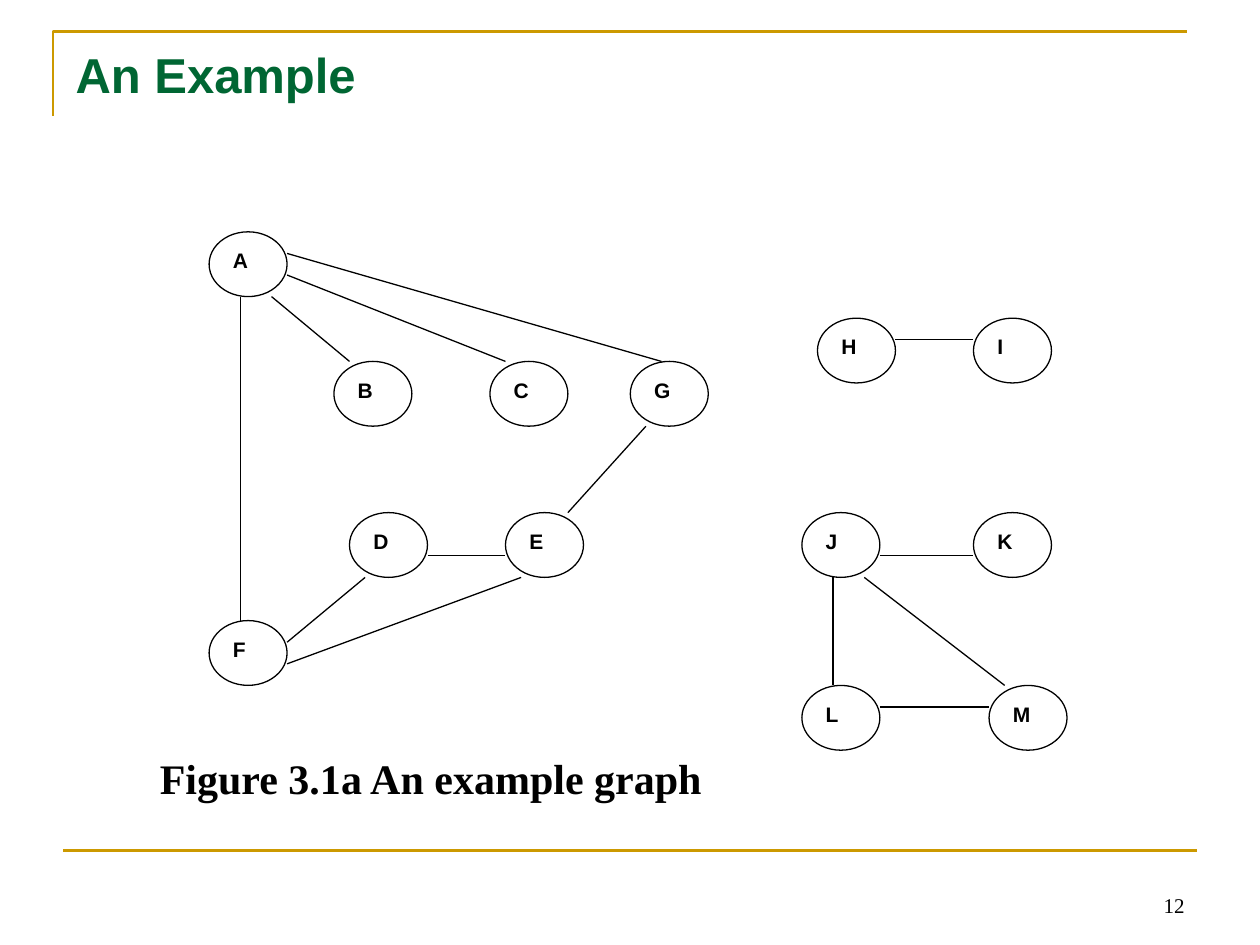
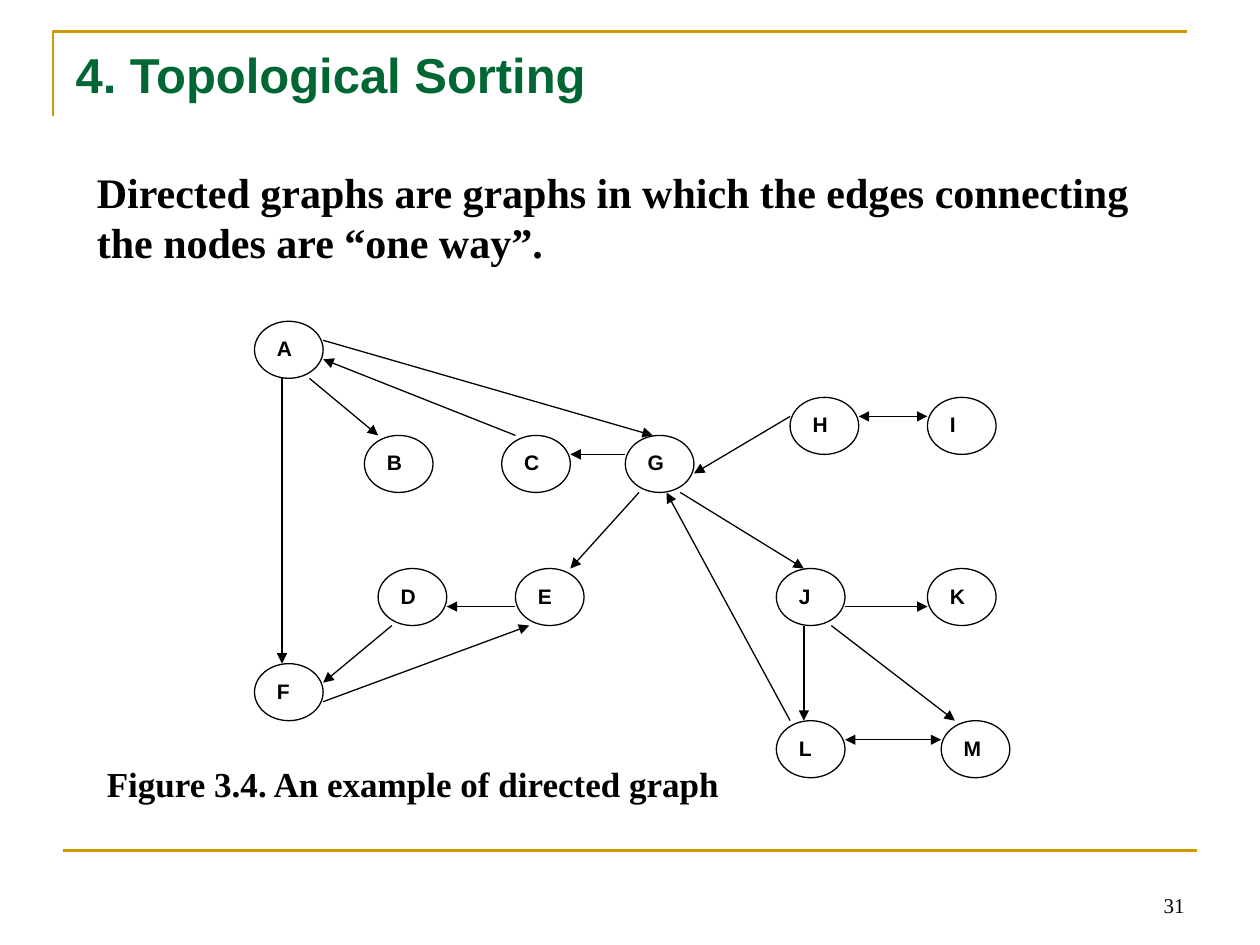
"""Build two slides that show one graph, first plain and then directed."""
from dataclasses import dataclass
from typing import NamedTuple

from lxml import etree
from pptx import Presentation
from pptx.dml.color import RGBColor
from pptx.enum.shapes import MSO_CONNECTOR, MSO_SHAPE
from pptx.enum.text import MSO_ANCHOR, MSO_AUTO_SIZE, PP_ALIGN
from pptx.oxml.ns import qn
from pptx.util import Inches, Pt

OVAL = MSO_SHAPE.OVAL
STRAIGHT = MSO_CONNECTOR.STRAIGHT
TOP, BOTTOM = MSO_ANCHOR.TOP, MSO_ANCHOR.BOTTOM
LEFT, RIGHT = PP_ALIGN.LEFT, PP_ALIGN.RIGHT
NO_FIT = MSO_AUTO_SIZE.NONE
TITLE_ONLY = 5


@dataclass(frozen=True)
class Style:
    font: str
    size: float
    color: RGBColor
    bold: bool = True


@dataclass(frozen=True)
class Theme:
    ink: RGBColor = RGBColor(0, 0, 0)
    paper: RGBColor = RGBColor(255, 255, 255)
    gold: RGBColor = RGBColor(0xCC, 0x99, 0x00)
    green: RGBColor = RGBColor(0x00, 0x66, 0x33)
    sans: str = "Arial"
    serif: str = "Times New Roman"
    thin: float = 0.75
    thick: float = 1.5

    @property
    def title(self) -> Style:
        return Style(self.sans, 28, self.green)

    @property
    def node(self) -> Style:
        return Style(self.sans, 12, self.ink)

    @property
    def page(self) -> Style:
        return Style(self.serif, 12, self.ink, False)

    def prose(self, size: float) -> Style:
        return Style(self.serif, size, self.ink)


class Spot(NamedTuple):
    x: float
    y: float


class Box(NamedTuple):
    left: float
    top: float
    width: float
    height: float


class Edge(NamedTuple):
    """Join two nodes at grid offsets; ends marks arrows as <, > or both."""
    start: str
    leave: Spot
    end: str
    enter: Spot
    ends: str


class Grid(NamedTuple):
    left: float
    top: float
    step_x: float
    step_y: float

    def place(self, node: Spot, shift: Spot = Spot(0, 0)) -> Spot:
        return Spot(self.left + (node.x + shift.x) * self.step_x,
                    self.top + (node.y + shift.y) * self.step_y)


class Prose(NamedTuple):
    text: str
    box: Box
    size: float


class Page(NamedTuple):
    title: str
    number: str
    height: float
    grid: Grid
    edges: list[Edge]
    arrows: bool
    prose: list[Prose]


THEME = Theme()
NODE_WIDE, NODE_HIGH = 5, 3
NODES = {
    "A": Spot(0, 0), "B": Spot(8, 6), "G": Spot(27, 6), "C": Spot(18, 6),
    "F": Spot(0, 18), "D": Spot(9, 13), "E": Spot(19, 13),
    "L": Spot(38, 21), "M": Spot(50, 21), "K": Spot(49, 13),
    "J": Spot(38, 13), "I": Spot(49, 4), "H": Spot(39, 4),
}
EDGES = [
    Edge("A", Spot(2, 3), "F", Spot(2, 0), ">"),
    Edge("A", Spot(4, 3), "B", Spot(1, 0), ">"),
    Edge("A", Spot(5, 2), "C", Spot(1, 0), "<"),
    Edge("A", Spot(5, 1), "G", Spot(2, 0), ">"),
    Edge("F", Spot(5, 1), "D", Spot(1, 3), "<"),
    Edge("D", Spot(5, 2), "E", Spot(0, 2), "<"),
    Edge("F", Spot(5, 2), "E", Spot(1, 3), ">"),
    Edge("E", Spot(4, 0), "G", Spot(1, 3), "<"),
    Edge("H", Spot(5, 1), "I", Spot(0, 1), "<>"),
    Edge("J", Spot(5, 2), "K", Spot(0, 2), ">"),
    Edge("J", Spot(2, 3), "L", Spot(2, 0), ">"),
    Edge("L", Spot(5, 1), "M", Spot(0, 1), "<>"),
    Edge("J", Spot(4, 3), "M", Spot(1, 0), ">"),
]
BRIDGES = [
    Edge("G", Spot(0, 1), "C", Spot(5, 1), ">"),
    Edge("H", Spot(0, 1), "G", Spot(5, 2), ">"),
    Edge("G", Spot(4, 3), "J", Spot(2, 0), ">"),
    Edge("L", Spot(1, 0), "G", Spot(3, 3), ">"),
]
PAGES = [
    Page("An Example", "12", 0.53,
         Grid(1.66, 1.84, 6.19 / 50, 3.6 / 21), EDGES, False,
         [Prose("Figure 3.1a An example graph",
                Box(1.17, 5.92, 4.75, 0.5), 24)]),
    Page("4. Topological Sorting", "31", 0.4,
         Grid(2.02, 2.55, 5.45 / 50, 3.17 / 21), EDGES + BRIDGES, True,
         [Prose("Directed graphs are graphs in which the edges connecting "
                "the nodes are “one way”.", Box(0.67, 1.27, 8.58, 0.9), 24),
          Prose("Figure 3.4. An example of directed graph",
                Box(0.75, 6, 5.17, 0.44), 20)]),
]


def scale(*sizes: float) -> list[Inches]:
    return [Inches(size) for size in sizes]


def write(shape, text: str, style: Style, anchor=TOP, align=LEFT,
          before: float = 0) -> None:
    frame = shape.text_frame
    frame.word_wrap = True
    frame.auto_size = NO_FIT
    frame.vertical_anchor = anchor
    line = frame.paragraphs[0]
    line.alignment = align
    line.space_before = Pt(before)
    run = line.add_run()
    run.text = text
    font = run.font
    font.name, font.size, font.bold = style.font, Pt(style.size), style.bold
    font.color.rgb = style.color


def stroke(shape, color: RGBColor, width: float) -> None:
    shape.line.color.rgb = color
    shape.line.width = Pt(width)


def draw_line(shapes, start: Spot, end: Spot, color: RGBColor,
              width: float, ends: str = "") -> None:
    line = shapes.add_connector(STRAIGHT, *scale(*start, *end))
    stroke(line, color, width)
    props = line._element.spPr
    pen = props.find(qn("a:ln"))
    for mark, tag in (("<", "a:headEnd"), (">", "a:tailEnd")):
        if mark in ends:
            etree.SubElement(pen, qn(tag), type="triangle")
    etree.SubElement(props, qn("a:effectLst"))


def draw_frame(slide, page: Page) -> None:
    path = slide.shapes.build_freeform(*scale(0.42, 0.92))
    path.add_line_segments([scale(0.42, 0.25), scale(9.42, 0.25)], close=False)
    hook = path.convert_to_shape()
    hook.fill.background()
    hook.shadow.inherit = False
    stroke(hook, THEME.gold, THEME.thick)
    draw_line(slide.shapes, Spot(0.5, 6.75), Spot(9.5, 6.75),
              THEME.gold, THEME.thick)
    label = slide.shapes.add_textbox(*scale(7.17, 6.83, 2.33, 0.5))
    write(label, page.number, THEME.page, BOTTOM, RIGHT)
    title = slide.shapes.title
    title.left, title.top, title.width, title.height = scale(
        0.5, 0.3, 9, page.height)
    write(title, page.title, THEME.title)


def draw_node(shapes, name: str, grid: Grid) -> None:
    node = shapes.add_shape(OVAL, *scale(
        *grid.place(NODES[name]),
        NODE_WIDE * grid.step_x, NODE_HIGH * grid.step_y))
    node.shadow.inherit = False
    node.fill.solid()
    node.fill.fore_color.rgb = THEME.paper
    stroke(node, THEME.ink, THEME.thin)
    write(node, name, THEME.node)


def draw_graph(slide, page: Page) -> None:
    shapes = slide.shapes.add_group_shape().shapes
    for name in NODES:
        draw_node(shapes, name, page.grid)
    for edge in page.edges:
        draw_line(shapes, page.grid.place(NODES[edge.start], edge.leave),
                  page.grid.place(NODES[edge.end], edge.enter),
                  THEME.ink, THEME.thin, edge.ends if page.arrows else "")


def draw_prose(slide, prose: Prose) -> None:
    box = slide.shapes.add_textbox(*scale(*prose.box))
    write(box, prose.text, THEME.prose(prose.size), before=prose.size * 0.625)


def main() -> None:
    deck = Presentation()
    deck.slide_width, deck.slide_height = scale(10, 7.5)
    for page in PAGES:
        slide = deck.slides.add_slide(deck.slide_layouts[TITLE_ONLY])
        draw_frame(slide, page)
        draw_graph(slide, page)
        for prose in page.prose:
            draw_prose(slide, prose)
    deck.save("out.pptx")


if __name__ == "__main__":
    main()
